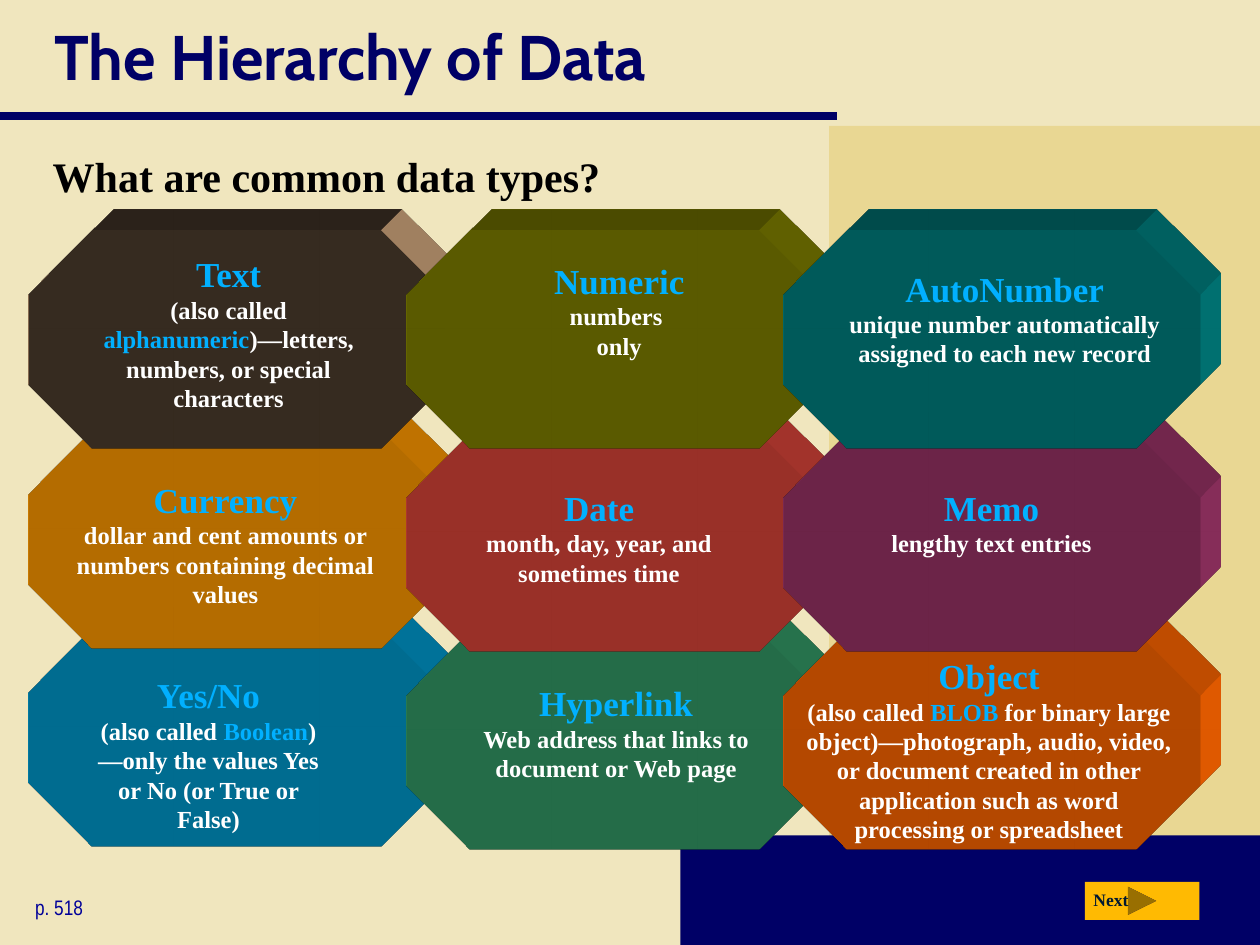
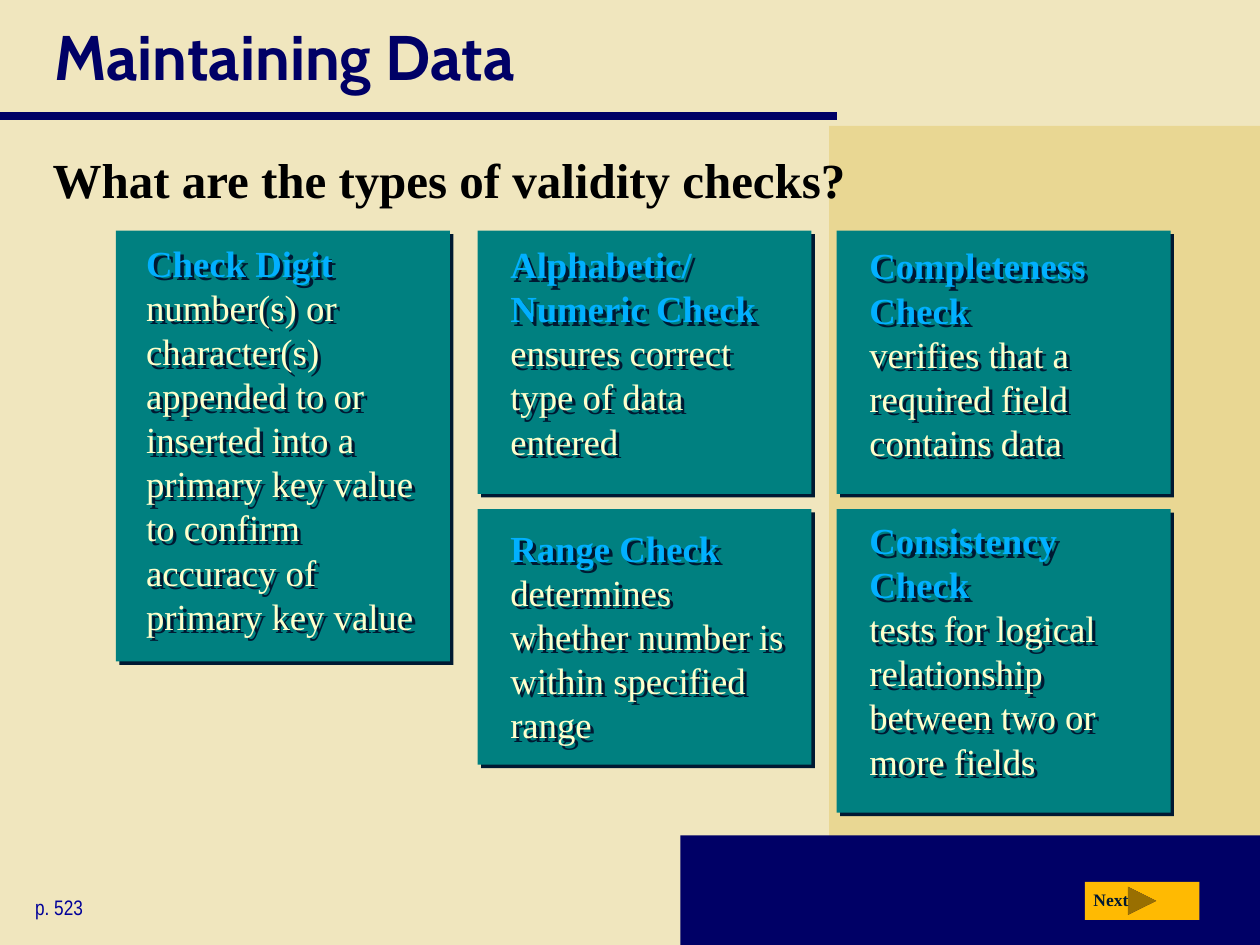
"""Build two slides on data types and validity checks."""
from lxml import etree
from pptx import Presentation
from pptx.dml.color import RGBColor
from pptx.enum import shapes, text
from pptx.oxml.ns import qn
from pptx.util import Inches, Pt

C = {
    "cream": "F0E6BE", "sand": "E9D793", "navy": "000066", "page": "000099",
    "button": "FFBA02", "dark": "001932", "sky": "01B0FF", "white": "FFFFFF",
    "black": "000000", "teal": "008080", "pale": "FFFFCC", "blue": "0099CC",
    "green": "339966", "orange": "FF6600", "amber": "FF9900", "red": "D94439",
    "plum": "993366", "peach": "FFCC99", "olive": "808000",
}
SERIF = "Times New Roman"
MSO = shapes.MSO_SHAPE
NS = 'xmlns:a="http://schemas.openxmlformats.org/drawingml/2006/main"'


def add_shape(s, kind, at, color=None):
    sp = s.shapes.add_shape(kind, *map(Inches, at))
    sp.shadow.inherit = False
    sp.line.fill.background()
    if color:
        sp.fill.solid()
        sp.fill.fore_color.rgb = RGBColor.from_string(C[color])
    else:
        sp.fill.background()
    if kind == MSO.OCTAGON:
        sp.adjustments[0] = 0.293
    return sp


def add_run(p, words, size, color, name=SERIF, bold=True):
    for i, line in enumerate(words.split("\n")):
        if i:
            p.add_line_break()
        if line:
            r = p.add_run()
            r.text = line
            r.font.size = Pt(size)
            r.font.bold = bold
            r.font.name = name
            r.font.color.rgb = RGBColor.from_string(C[color])


prs = Presentation()
prs.slide_width, prs.slide_height = Inches(10), Inches(7.5)
bg = prs.slide_master.background.fill
bg.solid()
bg.fore_color.rgb = RGBColor.from_string(C["cream"])

pages = [
    ("The Hierarchy of Data", "What are common data types?", 24, "p. 518"),
    ("Maintaining Data", "What are the types of validity checks?", 28, "p. 523"),
]
for title, question, size, page in pages:
    s = prs.slides.add_slide(prs.slide_layouts[5])
    add_shape(s, MSO.RECTANGLE, (6.58, 1, 3.42, 6.5), "sand")
    add_shape(s, MSO.RECTANGLE, (5.4, 6.63, 4.6, 0.87), "navy")
    rule = s.shapes.add_connector(shapes.MSO_CONNECTOR.STRAIGHT, 0, Inches(0.92),
                                  Inches(6.64), Inches(0.92))
    rule.line.width = Pt(5)
    rule.line.color.rgb = RGBColor.from_string(C["navy"])
    etree.SubElement(rule._element.spPr, qn("a:effectLst"))

    sp = s.shapes.title
    sp.left, sp.top, sp.width, sp.height = map(Inches, (0.33, 0, 9.39, 0.88))
    tf = sp.text_frame
    tf.vertical_anchor = text.MSO_ANCHOR.MIDDLE
    tf.auto_size = text.MSO_AUTO_SIZE.NONE
    tf.paragraphs[0].alignment = text.PP_ALIGN.LEFT
    add_run(tf.paragraphs[0], title, 36, "navy", "Cabin")

    add_shape(s, MSO.ACTION_BUTTON_FORWARD_OR_NEXT, (8.61, 7, 0.91, 0.3), "button")
    labels = [
        ((0.32, 1.19, 8.87, 0.5), question, size, "black", SERIF, True),
        ((0.18, 7.05, 1.69, 0.3), page, 12, "page", "Arial Narrow", False),
        ((8.58, 7.01, 0.51, 0.27), "Next", 10, "dark", SERIF, True),
    ]
    for at, *style in labels:
        tf = s.shapes.add_textbox(*map(Inches, at)).text_frame
        tf.word_wrap = True
        p = tf.paragraphs[0]
        if style[0] == question:
            p.line_spacing = 0.9
        add_run(p, *style)

data_types = [
    ("Yes/No", 0, 4.99, "blue", (0.38, 5.07, 2.55, 1.56),
     [("(also called ", "white"), ("Boolean", "sky"),
      (")—only the values Yes or No (or True or False)", "white")]),
    ("Hyperlink", 1, 5.01, "green", (3.33, 5.18, 3.12, 1.23),
     [("Web address that links to document or Web page", "white")]),
    ("Object", 2, 5.01, "orange", (5.96, 4.82, 3.78, 2.22),
     [("(also called ", "white"), ("BLOB", "sky"),
      (" for binary large object)—photograph, audio, video, or document created "
       "in other application such as word processing or spreadsheet", "white")]),
    ("Currency", 0, 3.42, "amber", (0.09, 3.52, 3.4, 1.56),
     [("dollar and cent amounts or numbers containing decimal values", "white")]),
    ("Date", 1, 3.44, "red", (3.47, 3.63, 2.57, 1.23),
     [("month, day, year, and sometimes time", "white")]),
    ("Memo", 2, 3.44, "plum", (6.7, 3.68, 2.34, 0.9),
     [("lengthy text entries", "white")]),
    ("Text", 0, 1.83, "peach", (0.37, 1.68, 2.89, 1.89),
     [("(also called ", "white"), ("alphanumeric", "sky"),
      (")—letters, numbers, or special characters", "white")]),
    ("Numeric", 1, 1.83, "olive", (3.75, 1.83, 2.33, 1.23),
     [("numbers \nonly", "white")]),
    ("AutoNumber", 2, 1.83, "teal", (6.35, 1.89, 3.25, 1.23),
     [("unique number automatically assigned to each new record", "white")]),
]
s = prs.slides[0]
for name, col, top, color, at, words in data_types:
    octagon = add_shape(s, MSO.OCTAGON, ((0.23, 3.23, 6.22)[col], top, 3.3, 1.73), color)
    rig = "legacyHarsh3" if name == "Text" else "legacyFlat3"
    for xml in (
        f'<a:scene3d {NS}><a:camera prst="legacyObliqueTopRight"/>'
        f'<a:lightRig rig="{rig}" dir="b"/></a:scene3d>',
        f'<a:sp3d {NS} extrusionH="430200" prstMaterial="legacyMatte">'
        f'<a:extrusionClr><a:srgbClr val="{C[color]}"/></a:extrusionClr></a:sp3d>',
    ):
        octagon._element.spPr.append(etree.fromstring(xml))

    tf = add_shape(s, MSO.OCTAGON, at).text_frame
    tf.word_wrap = True
    tf.vertical_anchor = text.MSO_ANCHOR.TOP
    head, body = tf.paragraphs[0], tf.add_paragraph()
    head.alignment = body.alignment = text.PP_ALIGN.CENTER
    add_run(head, name, 20, "sky")
    for part, part_color in words:
        add_run(body, part, 14, part_color)

checks = [
    ((6.64, 4.04, 2.65, 2.41), (6.9, 4.11), "Consistency Check\n",
     "tests for logical relationship between two or more fields"),
    ((3.79, 4.04, 2.65, 2.03), (4.05, 4.17), "Range Check",
     " determines whether number is within specified range"),
    ((6.64, 1.83, 2.65, 2.09), (6.9, 1.93), "Completeness Check\n",
     "verifies that a required field contains data"),
    ((0.92, 1.83, 2.65, 3.42), (1.16, 1.91), "Check Digit\n",
     "number(s) or character(s) appended to or inserted into a primary key value "
     "to confirm accuracy of primary key value"),
    ((3.79, 1.83, 2.65, 2.09), (4.05, 1.92), "Alphabetic/\nNumeric Check",
     " ensures correct type of data entered"),
]
SHADOW = (
    f'<a:effectLst {NS}><a:outerShdw dist="35560" dir="2700000" algn="ctr" '
    f'rotWithShape="0"><a:srgbClr val="{C["dark"]}"/></a:outerShdw></a:effectLst>')
s = prs.slides[1]
for at, (left, top), head, meaning in checks:
    card = add_shape(s, MSO.RECTANGLE, at, "teal")
    tb = s.shapes.add_textbox(Inches(left), Inches(top), Inches(2.24),
                              Inches(at[1] + at[3] - top - 0.1))
    tb.shadow.inherit = False
    for sp in (card, tb):
        spPr = sp._element.spPr
        spPr.replace(spPr.find(qn("a:effectLst")), etree.fromstring(SHADOW))
    tf = tb.text_frame
    tf.word_wrap = True
    tf.margin_left = tf.margin_right = tf.margin_top = tf.margin_bottom = 0
    p = tf.paragraphs[0]
    add_run(p, head, 21, "sky")
    add_run(p, meaning, 21, "pale", bold=False)

prs.save("out.pptx")
